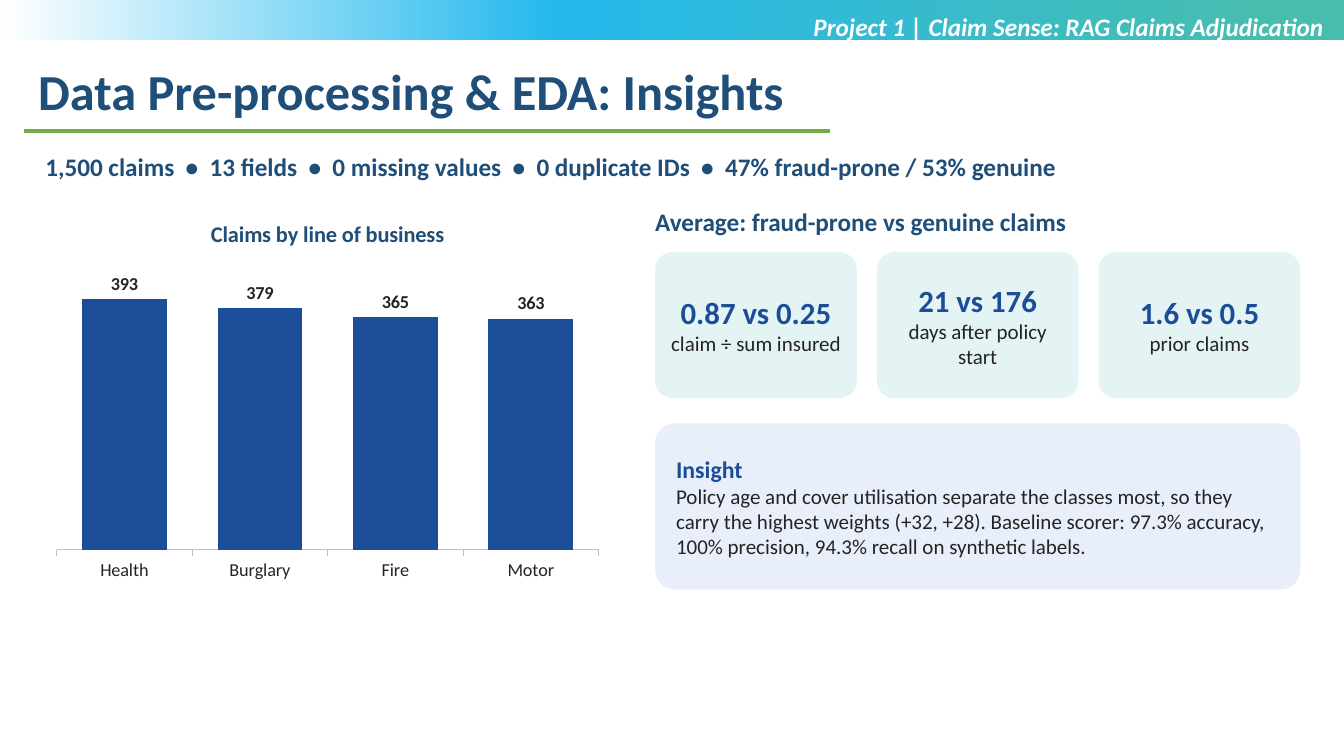
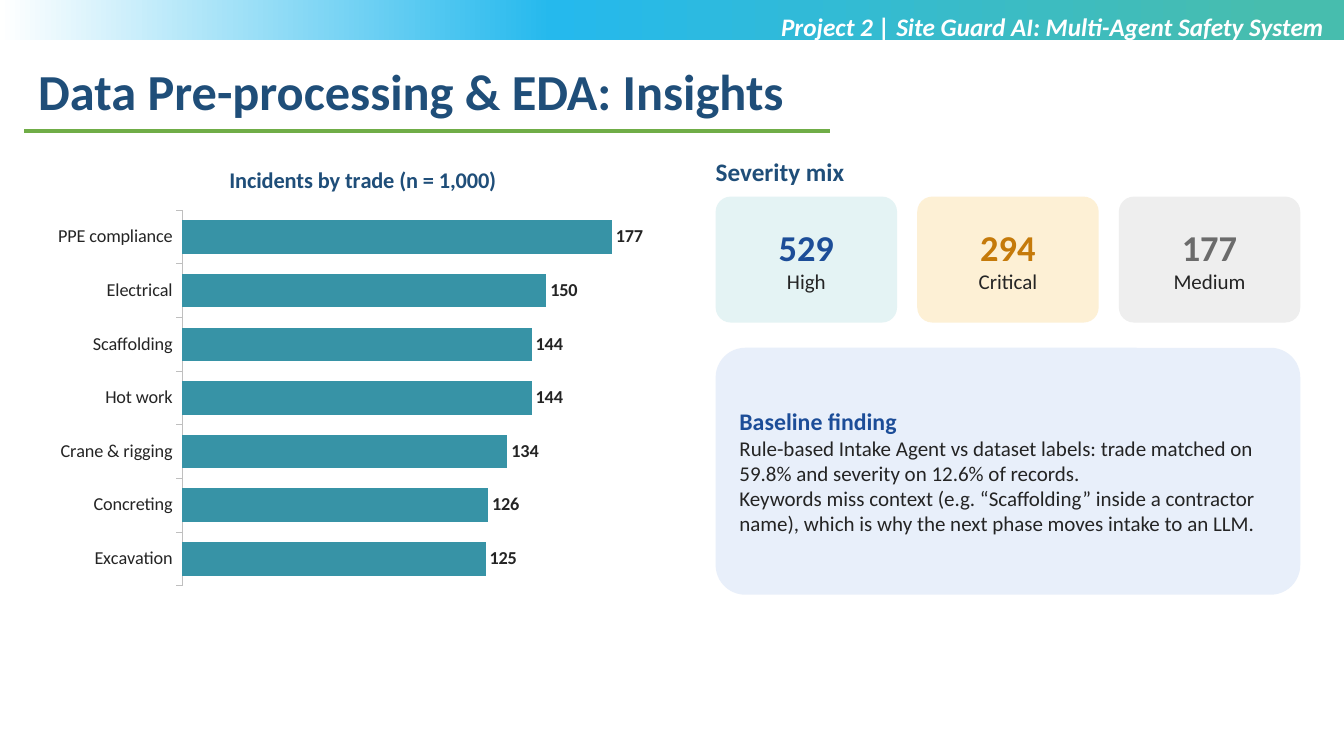
from copy import deepcopy
from dataclasses import dataclass
from typing import NamedTuple

from lxml.etree import SubElement
from pptx import Presentation
from pptx.chart.data import CategoryChartData
from pptx.dml.color import RGBColor
from pptx.enum.chart import XL_CHART_TYPE, XL_LABEL_POSITION, XL_TICK_LABEL_POSITION, XL_TICK_MARK
from pptx.enum.shapes import MSO_CONNECTOR, MSO_SHAPE
from pptx.enum.text import MSO_ANCHOR, PP_ALIGN
from pptx.oxml.ns import qn
from pptx.util import Pt


# Theme: colours and type sizes
@dataclass(frozen=True)
class Theme:
    face: str = "Calibri"
    navy: str = "1F4E79"
    blue: str = "1C4D98"
    teal: str = "3793A6"
    green: str = "70AD47"
    ink: str = "242424"
    white: str = "FFFFFF"
    axis: str = "BFBFBF"
    mint: str = "E4F3F4"
    sky: str = "E8EFFA"
    cream: str = "FDF0D5"
    amber: str = "C57A0A"
    mist: str = "EEEEEE"
    grey: str = "6B6B6B"
    fade: tuple = ((0.05, "47BDAE"), (0.59, "25B9ED"), (1, "FFFFFF"))
    title: int = 36
    head: int = 18
    lead: int = 17
    chart: int = 16
    body: int = 15
    label: int = 13


T = Theme()
WIDE, HIGH = 960, 540
LEFT, RIGHT = 32.4, 928.8
GAP, DROP = 14.4, 18


class Box(NamedTuple):
    x: float
    y: float
    w: float
    h: float

    def lens(self) -> tuple:
        return tuple(Pt(n) for n in self)


class Line(NamedTuple):
    text: str
    size: int
    color: str
    bold: bool = True
    slant: bool = False


class Card(NamedTuple):
    value: str
    label: str
    fill: str = T.mint
    color: str = T.blue


class Graph(NamedTuple):
    kind: int
    title: str
    data: dict
    color: str
    box: Box
    flip: bool = False


@dataclass
class Page:
    name: str
    graph: Graph
    head: str
    x: float
    y: float
    cards: list
    size: int
    top: float
    tall: float
    note: list
    deep: float
    facts: tuple = ()


# Text
def rgb(code: str) -> RGBColor:
    return RGBColor.from_string(code)


def style(font, size: int, color: str, bold: bool = False, slant: bool = False) -> None:
    font.name, font.size = T.face, Pt(size)
    font.bold, font.italic = bold, slant
    font.color.rgb = rgb(color)


def write(frame, lines: list, align=PP_ALIGN.LEFT, side: float = 7.2, edge: float = 3.6) -> None:
    frame.word_wrap = True
    frame.margin_left = frame.margin_right = Pt(side)
    frame.margin_top = frame.margin_bottom = Pt(edge)
    for i, line in enumerate(lines):
        para = frame.add_paragraph() if i else frame.paragraphs[0]
        para.text, para.alignment = line.text, align
        style(para.font, *line[1:])


def label(slide, box: Box, line: Line, **kind) -> None:
    write(slide.shapes.add_textbox(*box.lens()).text_frame, [line], **kind)


# Shapes
def panel(slide, box: Box, fill: str, lines: list, align, side: float) -> None:
    shape = slide.shapes.add_shape(MSO_SHAPE.ROUNDED_RECTANGLE, *box.lens())
    shape.adjustments[0] = 0.12
    shape.shadow.inherit = False
    shape.fill.solid()
    shape.fill.fore_color.rgb = rgb(fill)
    shape.line.fill.background()
    shape.text_frame.vertical_anchor = MSO_ANCHOR.MIDDLE
    write(shape.text_frame, lines, align, side, 2.88)


def band(slide) -> None:
    shape = slide.shapes.add_shape(MSO_SHAPE.RECTANGLE, *Box(0, 0, WIDE, 28.8).lens())
    shape.shadow.inherit = False
    shape.line.fill.background()
    shape.fill.gradient()
    shape.fill.gradient_angle = 180
    stops = shape.fill._fill._gradFill.find(qn("a:gsLst"))
    stops.append(deepcopy(stops[0]))
    for stop, (place, color) in zip(shape.fill.gradient_stops, T.fade):
        stop.position = place
        stop.color.rgb = rgb(color)


def rule(slide) -> None:
    line = slide.shapes.add_connector(
        MSO_CONNECTOR.STRAIGHT, Pt(17.28), Pt(93.6), Pt(592.56), Pt(93.6))
    line.line.color.rgb = rgb(T.green)
    line.line.width = Pt(2.25)
    SubElement(line._element.spPr, qn("a:effectLst"))


# Charts
def plot(slide, graph: Graph) -> None:
    data = CategoryChartData()
    data.categories = list(graph.data)
    data.add_series("Series 1", list(graph.data.values()))
    chart = slide.shapes.add_chart(graph.kind, *graph.box.lens(), data).chart
    chart.has_legend = False
    chart.font.name, chart.font.size = T.face, Pt(T.head)
    chart.has_title = True
    write_title = chart.chart_title.text_frame
    write_title.text = graph.title
    style(write_title.paragraphs[0].font, T.chart, T.navy, True)
    chart.chart_title.include_in_layout = False

    cats, vals = chart.category_axis, chart.value_axis
    cats.reverse_order = graph.flip
    cats.has_major_gridlines = False
    cats.major_tick_mark = XL_TICK_MARK.OUTSIDE
    cats.tick_label_position = XL_TICK_LABEL_POSITION.NEXT_TO_AXIS
    cats.format.line.color.rgb = rgb(T.axis)
    cats.format.line.width = Pt(0.75)
    style(cats.tick_labels.font, T.label, T.ink)
    vals.visible = vals.has_major_gridlines = False
    vals.minimum_scale = 0

    bars = chart.plots[0]
    bars.gap_width, bars.vary_by_categories = 60, False
    fill = bars.series[0].format.fill
    fill.solid()
    fill.fore_color.rgb = rgb(graph.color)
    bars.has_data_labels = True
    marks = bars.data_labels
    marks.show_value, marks.position = True, XL_LABEL_POSITION.OUTSIDE_END
    style(marks.font, T.label, T.ink, True)


# Pages
def frame(slide, name: str) -> None:
    band(slide)
    label(slide, Box(20.16, 39.6, 836.64, 51.12),
          Line("Data Pre-processing & EDA: Insights", T.title, T.navy))
    rule(slide)
    label(slide, Box(302.4, 4.32, 650.16, 51.12),
          Line(name, T.head, T.white, slant=True), align=PP_ALIGN.RIGHT)


def build(slide, page: Page) -> None:
    frame(slide, page.name)
    if page.facts:
        label(slide, Box(LEFT, 104.4, 892.8, 32.4),
              Line("  •  ".join(page.facts), T.head, T.navy), side=0)
    plot(slide, page.graph)

    # Cards share the column width equally
    span = RIGHT - page.x
    label(slide, Box(page.x, page.y, span, 28.8), Line(page.head, T.head, T.navy), side=0)
    count = len(page.cards)
    wide = (span - GAP * (count - 1)) / count
    for i, card in enumerate(page.cards):
        panel(slide, Box(page.x + i * (wide + GAP), page.top, wide, page.tall), card.fill,
              [Line(card.value, page.size, card.color),
               Line(card.label, T.body, T.ink, False)], PP_ALIGN.CENTER, 5.76)

    # Note below the cards
    lead, *rest = page.note
    lines = [Line(lead, T.lead, T.blue)] + [Line(t, T.body, T.ink, False) for t in rest]
    panel(slide, Box(page.x, page.top + page.tall + DROP, span, page.deep),
          T.sky, lines, PP_ALIGN.LEFT, 10.8)


PAGES = [
    Page(
        name="Project 1 | Claim Sense: RAG Claims Adjudication",
        facts=("1,500 claims", "13 fields", "0 missing values", "0 duplicate IDs",
               "47% fraud-prone / 53% genuine"),
        graph=Graph(XL_CHART_TYPE.COLUMN_CLUSTERED, "Claims by line of business",
                    {"Health": 393, "Burglary": 379, "Fire": 365, "Motor": 363},
                    T.blue, Box(LEFT, 144, 403.2, 277.2)),
        head="Average: fraud-prone vs genuine claims", x=468, y=144,
        cards=[Card("0.87 vs 0.25", "claim ÷ sum insured"),
               Card("21 vs 176", "days after policy start"),
               Card("1.6 vs 0.5", "prior claims")],
        size=22, top=180, tall=104.4,
        note=["Insight",
              "Policy age and cover utilisation separate the classes most, so they carry "
              "the highest weights (+32, +28). Baseline scorer: 97.3% accuracy, "
              "100% precision, 94.3% recall on synthetic labels."],
        deep=118.8),
    Page(
        name="Project 2 | Site Guard AI: Multi-Agent Safety System",
        graph=Graph(XL_CHART_TYPE.BAR_CLUSTERED, "Incidents by trade (n = 1,000)",
                    {"PPE compliance": 177, "Electrical": 150, "Scaffolding": 144,
                     "Hot work": 144, "Crane & rigging": 134, "Concreting": 126,
                     "Excavation": 125},
                    T.teal, Box(LEFT, 104.4, 453.6, 320.4), flip=True),
        head="Severity mix", x=511.2, y=108,
        cards=[Card("529", "High"),
               Card("294", "Critical", T.cream, T.amber),
               Card("177", "Medium", T.mist, T.grey)],
        size=26, top=140.4, tall=90,
        note=["Baseline finding",
              "Rule-based Intake Agent vs dataset labels: trade matched on 59.8% and "
              "severity on 12.6% of records.",
              "Keywords miss context (e.g. “Scaffolding” inside a contractor name), "
              "which is why the next phase moves intake to an LLM."],
        deep=176.4),
]


def main() -> None:
    deck = Presentation()
    deck.slide_width, deck.slide_height = Pt(WIDE), Pt(HIGH)
    for page in PAGES:
        build(deck.slides.add_slide(deck.slide_layouts[6]), page)
    deck.save("out.pptx")


if __name__ == "__main__":
    main()
